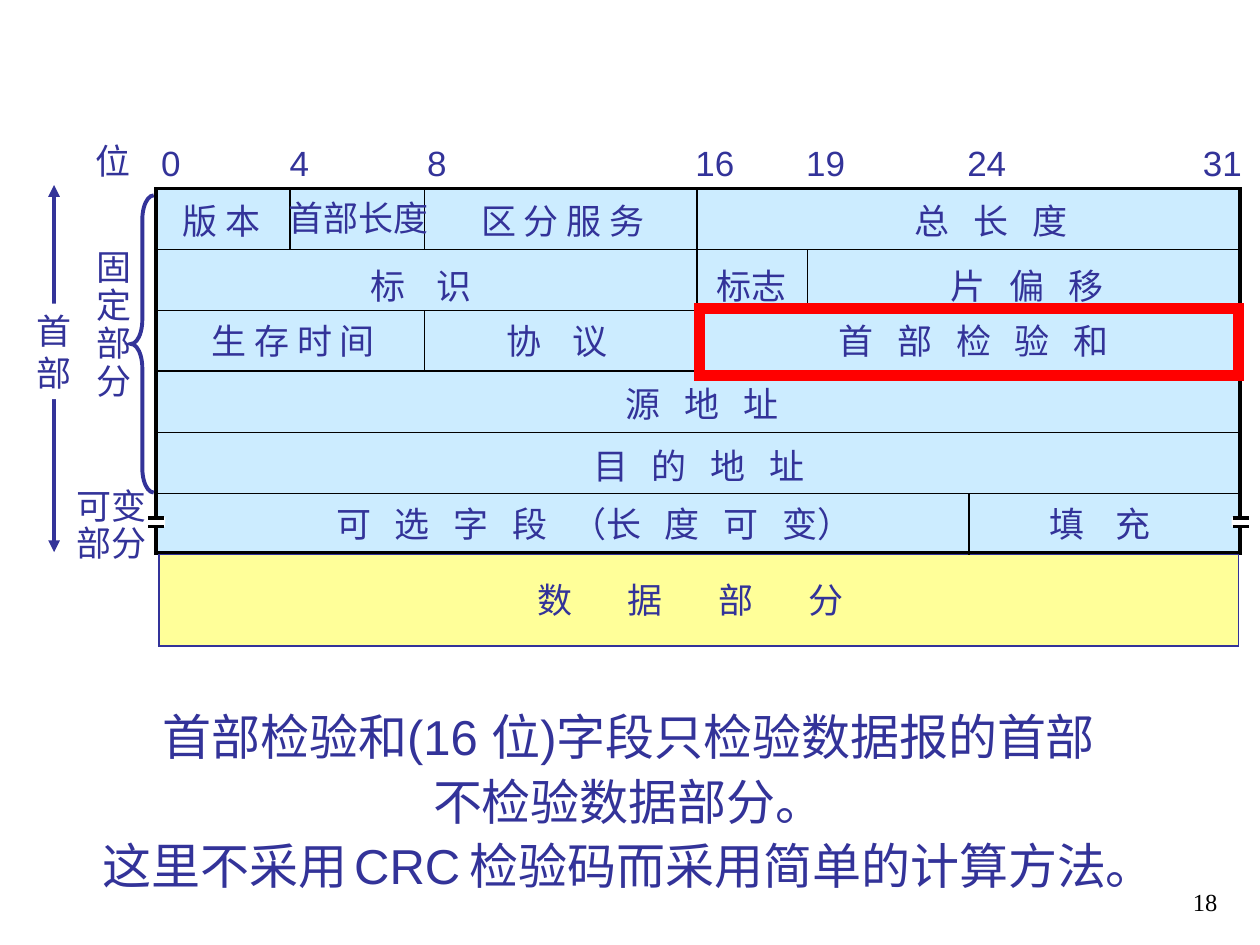
from pptx import Presentation
from pptx import util as u
from pptx.dml.color import RGBColor
from pptx.enum import shapes, text
from pptx.oxml.ns import qn
from lxml import etree

Cm = u.Cm
COLORS = {"ink": "333399", "black": "000000", "white": "FFFFFF",
          "header": "CCECFF", "data": "FFFF99", "mark": "FF0000"}
SPACE = 4.5  # points added for each further space in a stretched gap


def add_box(kind, x, y, w, h, fill=None, line=None, width=1):
    """Add a preset shape, or a line from (x, y) to (x + w, y + h)."""
    if kind is None:
        sp = s.shapes.add_connector(shapes.MSO_CONNECTOR.STRAIGHT,
                                    Cm(x), Cm(y), Cm(x + w), Cm(y + h))
        etree.SubElement(sp._element.spPr, qn("a:effectLst"))
    else:
        sp = s.shapes.add_shape(kind, Cm(x), Cm(y), Cm(w), Cm(h))
        sp.shadow.inherit = False
        if fill:
            sp.fill.solid()
            sp.fill.fore_color.rgb = RGBColor.from_string(COLORS[fill])
        else:
            sp.fill.background()
    if line:
        sp.line.color.rgb = RGBColor.from_string(COLORS[line])
        sp.line.width = u.Pt(width)
        etree.SubElement(sp.line._get_or_add_ln(), qn("a:miter"), lim="800000")
    else:
        sp.line.fill.background()
    return sp


def add_label(x, y, w, h, lines, size=20, gap=1, spacing=None, align=None):
    """Add text; each space is stretched to gap spaces."""
    slack = 0.4 if gap > 1 else 0
    sp = s.shapes.add_textbox(Cm(x), Cm(y), Cm(w + slack), Cm(h))
    tf = sp.text_frame
    tf.word_wrap = gap > 1
    tf.auto_size = text.MSO_AUTO_SIZE.SHAPE_TO_FIT_TEXT
    for i, content in enumerate(lines):
        p = tf.paragraphs[0] if i == 0 else tf.add_paragraph()
        p.alignment = align
        p.line_spacing = spacing
        for part in content if gap > 1 else [content]:
            r = p.add_run()
            r.text = part
            r.font.size = u.Pt(size)
            r.font.name = "Arial"
            r.font.color.rgb = RGBColor.from_string(COLORS["ink"])
            if gap > 1 and part == " ":
                r._r.get_or_add_rPr().set("spc", str(round(SPACE * (gap - 1) * 100)))
    return sp


prs = Presentation()
prs.slide_width, prs.slide_height = Cm(25.4), Cm(19.05)
s = prs.slides.add_slide(prs.slide_layouts[6])
RECT = shapes.MSO_SHAPE.RECTANGLE

# Extent of the whole header
sp = add_box(None, 1.09, 3.73, 0, 7.4, line="ink", width=2.25)
ln = sp.line._get_or_add_ln()
for end in ("a:headEnd", "a:tailEnd"):
    etree.SubElement(ln, qn(end), type="triangle")
add_box(RECT, 0.48, 6.12, 1.22, 1.93, fill="white")
add_label(0.48, 6.12, 1.22, 1.93, ["首", "部"])

# Header and data blocks
left, top, width, row = 3.15, 3.8, 21.85, 1.23
header = add_box(RECT, left, top, width, 7.35, "header", "black", 2)
add_box(RECT, 3.2, top + 6 * row, 21.77, 1.85, "data", "ink", 1)

# Row lines
for i in range(1, 6):
    sp = add_box(None, left, top + i * row, width, 0, line="black")
    if i == 3:
        sp.begin_connect(header, 1)
        sp.end_connect(header, 3)

# Column lines: x, first row, number of rows
for x, first, count in [(5.84, 0, 1), (8.56, 0, 1), (8.56, 2, 1),
                        (14.05, 0, 3), (19.53, 5, 1), (16.28, 1, 1)]:
    add_box(None, x, top + first * row, 0, count * row, line="black")

# Bit numbers
add_label(1.68, 2.69, 1.22, 1.09, ["位"])
for bit, x in [(0, 3.0), (4, 5.59), (8, 8.36), (16, 13.77),
               (19, 16.0), (24, 19.25), (31, 24.0)]:
    add_label(x, 2.72, 0.89 if bit < 10 else 1.3, 1.09, [str(bit)])

# Field names: left, top, width, text, gap in spaces
for x, y, w, name, gap in [
    (3.43, 3.89, 2.08, "版 本", 1),
    (5.56, 3.84, 3.33, "首部长度", 1),
    (9.45, 3.89, 3.81, "区 分 服 务", 1),
    (18.19, 3.89, 3.58, "总 长 度", 3),
    (7.21, 5.21, 2.54, "标 识", 4),
    (14.2, 5.21, 1.93, "标志", 1),
    (18.92, 5.21, 3.58, "片 偏 移", 3),
    (4.01, 6.32, 3.81, "生 存 时 间", 1),
    (9.96, 6.32, 2.54, "协 议", 4),
    (16.66, 6.32, 5.94, "首 部 检 验 和", 3),
    (12.37, 7.59, 3.58, "源 地 址", 3),
    (11.71, 8.84, 4.75, "目 的 地 址", 3),
    (6.53, 10.01, 10.74, "可 选 字 段 （长 度 可 变）", 3),
    (20.9, 10.01, 2.54, "填 充", 4),
    (10.59, 11.53, 8.08, "数 据 部 分", 7),
]:
    add_label(x, y, w, 1.09, [name], gap=gap)

# Break marks on both sides of the variable row
for x in (2.99, 24.85):
    add_box(RECT, x - 0.02, 10.43, 0.36, 0.19, fill="white")
    for y in (10.44, 10.61):
        add_box(None, x, y, 0.32, 0, line="black", width=2)

# Fixed and variable parts
add_label(1.7, 4.93, 1.22, 3.3, list("固定部分"), spacing=0.9)
add_label(1.3, 9.73, 1.93, 1.78, ["可变", "部分"], spacing=0.9)
sp = add_box(shapes.MSO_SHAPE.LEFT_BRACE, 2.64, 3.94, 0.46, 5.99, line="ink", width=2.25)
sp.adjustments[0] = 1.06

# Highlight and explanation
add_box(RECT, 14.1, 6.22, 10.87, 1.35, line="mark", width=6)
sp = add_label(1.55, 14.0, 22.25, 4.17,
               ["首部检验和(16 位)字段只检验数据报的首部", "不检验数据部分。", "这里不采用"],
               size=28, spacing=1.1, align=text.PP_ALIGN.CENTER)
p = sp.text_frame.paragraphs[-1]
for part, size in [(" ", 18), ("CRC", 28), (" ", 20), ("检验码而采用简单的计算方法。", 28)]:
    r = p.add_run()
    r.text = part
    r.font.size = u.Pt(size)
    r.font.name = "Arial"
    r.font.color.rgb = RGBColor.from_string(COLORS["ink"])

# Page number
sp = s.shapes.add_textbox(Cm(19.51), Cm(17.32), Cm(5.28), Cm(1.27))
tf = sp.text_frame
tf.word_wrap = True
tf.vertical_anchor = text.MSO_ANCHOR.BOTTOM
tf.text = "18"
p = tf.paragraphs[0]
p.alignment = text.PP_ALIGN.RIGHT
r = p.runs[0]
r.font.size = u.Pt(14)
r.font.name = "Times New Roman"
r.font.color.rgb = RGBColor.from_string(COLORS["black"])

prs.save("out.pptx")
